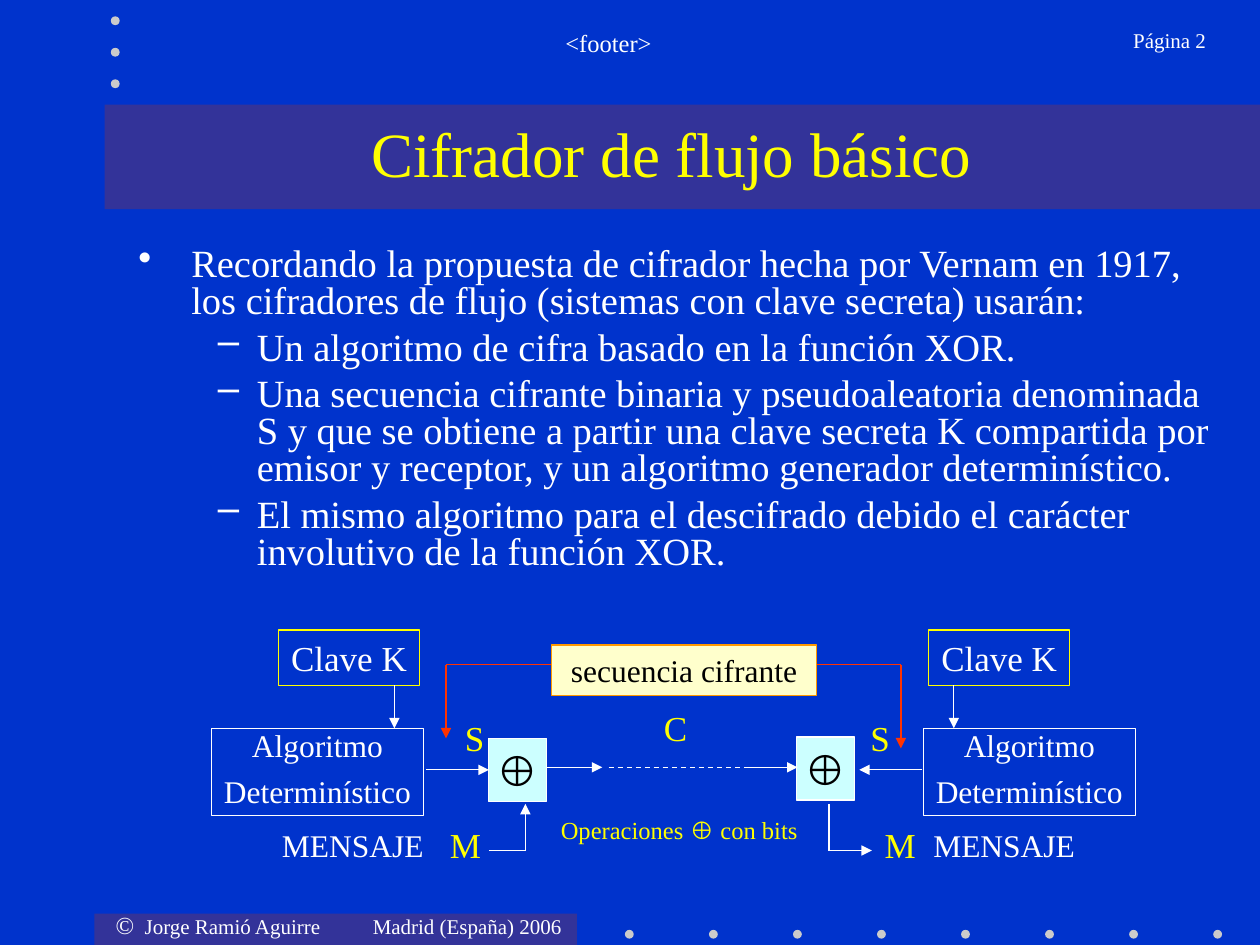
from itertools import pairwise

from lxml.etree import SubElement
from pptx import Presentation
from pptx.dml.color import RGBColor
from pptx.enum.dml import MSO_LINE
from pptx.enum.shapes import MSO_CONNECTOR, MSO_SHAPE
from pptx.enum.text import MSO_ANCHOR, PP_ALIGN
from pptx.oxml.ns import qn
from pptx.util import Inches, Pt

COLS, ROWS = 100, 75
W, H = Inches(10), Inches(7.5)
SERIF, SANS = "Times New Roman", "Arial"
BLUE, BAND, GREY = "0033CC", "333399", "CBCBCB"
WHITE, BLACK, YELLOW, RED = "FFFFFF", "000000", "FFFF00", "FF3300"
CYAN, CREAM, ORANGE = "CCFFFF", "FFFFCC", "FF9900"


def color(value):
    return RGBColor.from_string(value)


def place(box, x, y):
    return round((box[0] + x) * W / COLS), round((box[1] + y) * H / ROWS)


def shape(s, box, x, y, w, h, fill=None, line=None, kind=MSO_SHAPE.RECTANGLE):
    sp = s.shapes.add_shape(kind, *place(box, x, y), *place((0, 0), w, h))
    sp.shadow.inherit = False
    if fill:
        sp.fill.solid()
        sp.fill.fore_color.rgb = color(fill)
    else:
        sp.fill.background()
    if line:
        sp.line.color.rgb = color(line)
        sp.line.width = Pt(0.75)
    else:
        sp.line.fill.background()
    return sp


def textbox(s, box, x, y, w, h):
    return s.shapes.add_textbox(*place(box, x, y), *place((0, 0), w, h))


def style(p, size, ink, font=SERIF):
    for r in p.runs:
        r.font.size = Pt(size)
        r.font.name = font
        r.font.color.rgb = color(ink)


def write(sp, text, size, ink=WHITE, font=SERIF, align=PP_ALIGN.CENTER,
          anchor=MSO_ANCHOR.MIDDLE, wrap=False):
    tf = sp.text_frame
    tf.text = text
    tf.word_wrap = wrap
    tf.vertical_anchor = anchor
    for p in tf.paragraphs:
        p.alignment = align
        style(p, size, ink, font)
    return tf


def route(s, box, points, ink=WHITE, arrow=True, dash=False):
    legs = list(pairwise(points))
    for i, (start, end) in enumerate(legs):
        c = s.shapes.add_connector(MSO_CONNECTOR.STRAIGHT,
                                   *place(box, *start), *place(box, *end))
        c.line.color.rgb = color(ink)
        c.line.width = Pt(0.75)
        if dash:
            c.line.dash_style = MSO_LINE.DASH
        if arrow and i == len(legs) - 1:
            SubElement(c.line._get_or_add_ln(), qn("a:tailEnd"), type="triangle")
        SubElement(c._element.spPr, qn("a:effectLst"))


def dots(s, box, count, dx, dy):
    for i in range(count):
        shape(s, box, i * dx, i * dy, 0.7, 0.7, GREY, kind=MSO_SHAPE.OVAL)


def header(s, box):
    dots(s, box, 3, 0, 2.5)
    write(textbox(s, box, 7, 0.4, 65, 5), "<footer>", 14,
          anchor=MSO_ANCHOR.TOP, wrap=True)
    write(textbox(s, box, 74.2, 0.4, 13.7, 5), "Página 2", 12,
          align=PP_ALIGN.RIGHT, anchor=MSO_ANCHOR.TOP, wrap=True)


def title(s, box):
    shape(s, box, 0, 0, 91.7, 8.3, BAND)
    write(textbox(s, box, 0, 0, 90, 7.5), "Cifrador de flujo básico", 36,
          YELLOW, wrap=True)


def bullet(p, char, left, hang):
    pPr = p._p.get_or_add_pPr()
    pPr.set("marL", str(Inches(left)))
    pPr.set("indent", str(-Inches(hang)))
    clr = SubElement(pPr, qn("a:buClr"))
    SubElement(clr, qn("a:srgbClr"), val=WHITE)
    SubElement(pPr, qn("a:buChar"), char=char)


def body(s, box):
    lines = [
        "Recordando la propuesta de cifrador hecha por Vernam en 1917, los "
        "cifradores de flujo (sistemas con clave secreta) usarán:",
        "Un algoritmo de cifra basado en la función XOR.",
        "Una secuencia cifrante binaria y pseudoaleatoria denominada S y que se "
        "obtiene a partir una clave secreta K compartida por emisor y receptor, "
        "y un algoritmo generador determinístico.",
        "El mismo algoritmo para el descifrado debido el carácter involutivo de "
        "la función XOR.",
    ]
    tf = write(textbox(s, box, 0, 0, 87.5, 29.2), "\n".join(lines), 22,
               align=PP_ALIGN.LEFT, anchor=MSO_ANCHOR.TOP, wrap=True)
    for i, p in enumerate(tf.paragraphs):
        if i:
            bullet(p, "–", 0.94, 0.31)
            p.level = 1
            p.space_before = Pt(5.5)
        else:
            bullet(p, "•", 0.42, 0.42)
        p.line_spacing = 0.8


def station(s, box, key, algorithm, drop, xor, xor_y, message, m, stream):
    write(shape(s, box, key, 0, 11.2, 4.4, line=YELLOW), "Clave K", 20)
    tf = write(shape(s, box, algorithm, 7.8, 16.8, 6.9, line=WHITE),
               "Algoritmo\nDeterminístico", 18)
    first, second = tf.paragraphs
    first.line_spacing = 0.75
    second.line_spacing = 0.7
    second.space_before = Pt(11.2)
    route(s, box, [(drop, 4.4), (drop, 7.8)])
    write(shape(s, box, xor, xor_y, 4.6, 5, CYAN, WHITE), "⊕", 24, BLACK, SANS)
    write(textbox(s, box, message, 15.1, 14.4, 4), "MENSAJE", 18)
    write(textbox(s, box, m, 14.8, 4.5, 4.4), "M", 20, YELLOW)
    write(textbox(s, box, stream, 6.3, 3.5, 4.4), "S", 20, YELLOW)


def sender(s, box):
    station(s, box, key=5.3, algorithm=0, drop=14.5, xor=22, xor_y=8.6,
            message=4, m=17.9, stream=19.1)
    route(s, box, [(17, 11.1), (22, 11.1)])
    route(s, box, [(22, 17.5), (24.9, 17.5), (24.9, 13.8)])
    route(s, box, [(27, 2.75), (18.6, 2.75), (18.6, 8.6)], RED)


def receiver(s, box):
    station(s, box, key=10.5, algorithm=10.1, drop=12.5, xor=0, xor_y=8.5,
            message=9.3, m=6, stream=4.9)
    route(s, box, [(10, 11.1), (5, 11.1)])
    route(s, box, [(2.6, 13.8), (2.6, 17.5), (6, 17.5)])
    route(s, box, [(1.6, 2.75), (8.3, 2.75), (8.3, 9.4)], RED)


def channel(s, box):
    write(shape(s, box, 0.5, 1.2, 21, 4, CREAM, ORANGE),
          "secuencia cifrante", 18, BLACK, wrap=True)
    write(textbox(s, box, 8.4, 5.5, 3.8, 4.4), "C", 20, YELLOW)
    route(s, box, [(0, 10.9), (4.5, 10.9)])
    route(s, box, [(5, 10.9), (15.9, 10.9)], arrow=False, dash=True)
    route(s, box, [(15.9, 10.9), (20, 10.9)])
    tf = write(textbox(s, box, 0, 14.2, 21.2, 2.9), "", 14,
               anchor=MSO_ANCHOR.TOP, wrap=True)
    tf.margin_bottom = 0
    p = tf.paragraphs[0]
    for part in ("Operaciones ", "⊕", " con bits"):
        p.add_run().text = part
    style(p, 14, YELLOW)
    p.runs[1].font.name = SANS


def footer(s, box):
    shape(s, box, 0, 0, 38.3, 2.5, BAND)
    dots(s, (box[0] + 42.1, box[1] + 1.3), 8, 6.67, 0)
    tf = write(textbox(s, box, 0.7, -0.8, 37.5, 3.4), "©", 14,
               align=PP_ALIGN.LEFT, anchor=MSO_ANCHOR.TOP)
    p = tf.paragraphs[0]
    tabs = SubElement(p._p.get_or_add_pPr(), qn("a:tabLst"))
    for stop in (0.23, 2.04):
        SubElement(tabs, qn("a:tab"), pos=str(Inches(stop)), algn="l")
    p.add_run().text = "\tJorge Ramió Aguirre\tMadrid (España) 2006"
    style(p, 12, WHITE)
    p.runs[0].font.size = Pt(14)


def main():
    prs = Presentation()
    prs.slide_width, prs.slide_height = W, H
    s = prs.slides.add_slide(prs.slide_layouts[6])
    s.background.fill.solid()
    s.background.fill.fore_color.rgb = color(BLUE)
    footer(s, (7.5, 72.5))
    header(s, (8.8, 1.3))
    title(s, (8.3, 8.3))
    body(s, (10, 19.2))
    sender(s, (16.8, 50))
    receiver(s, (63.2, 50))
    channel(s, (43.3, 50))
    prs.save("out.pptx")


if __name__ == "__main__":
    main()
